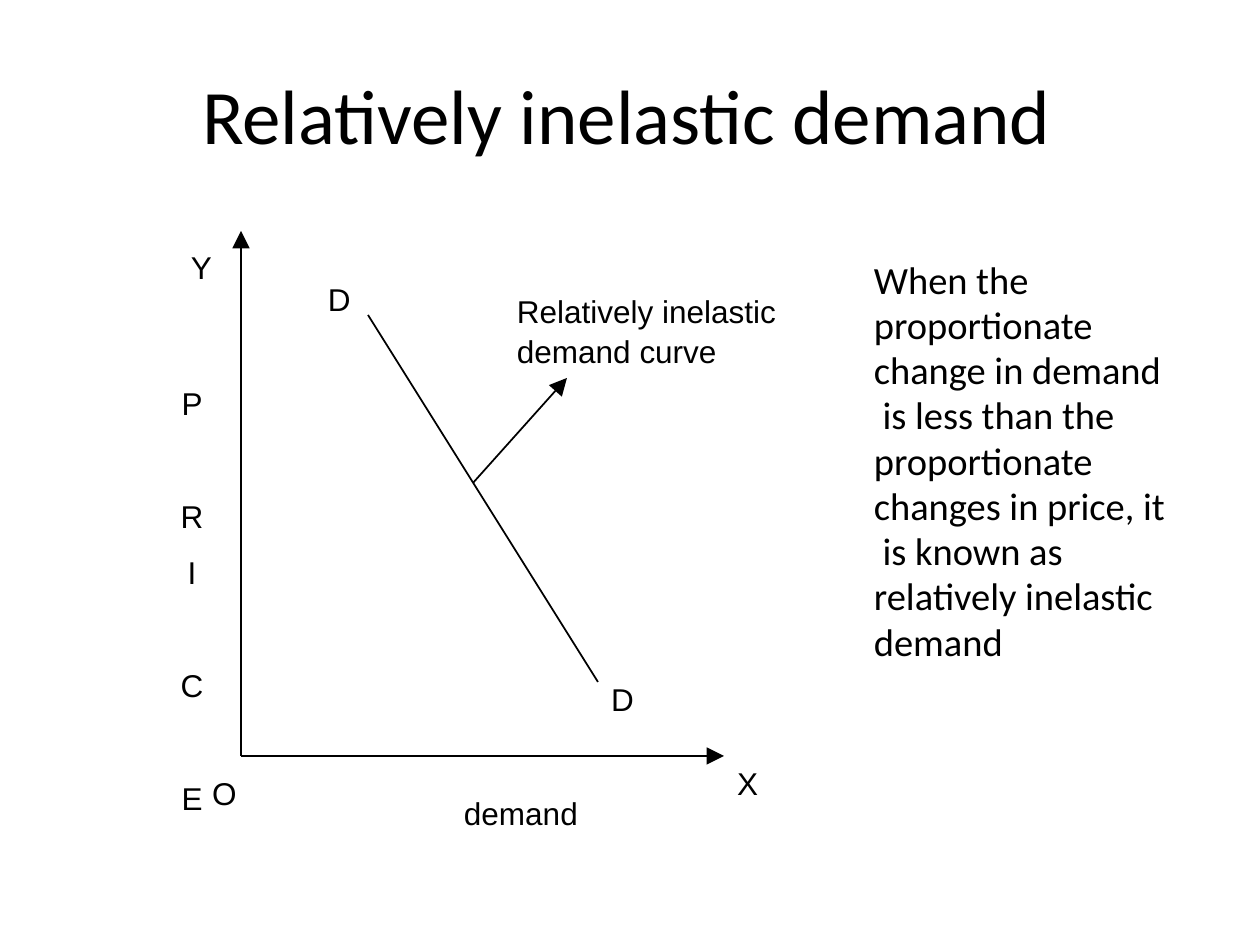
from lxml.etree import SubElement
from pptx import Presentation
from pptx.dml.color import RGBColor
from pptx.enum.shapes import MSO_CONNECTOR as Link
from pptx.enum.text import MSO_ANCHOR as Anchor, MSO_AUTO_SIZE as Fit, PP_ALIGN as Align
from pptx.oxml.ns import qn
from pptx.util import Inches, Pt

PX = Inches(1) // 126
INK = "000000"


def color(code):
    return RGBColor.from_string(code)


def style(shape, text, box, size=18, font="Arial", align=Align.LEFT, lead=None, gaps=()):
    """Place a text shape and fill it; gaps are the points before each paragraph."""
    shape.left, shape.top, shape.width, shape.height = (n * PX for n in box)
    frame = shape.text_frame
    frame.margin_left = frame.margin_top = frame.margin_right = frame.margin_bottom = 0
    frame.word_wrap, frame.auto_size = True, Fit.NONE
    frame.vertical_anchor = Anchor.TOP
    frame.text = text
    for par in frame.paragraphs:
        par.alignment = align
        par.line_spacing = lead
        for run in par.runs:
            run.font.size, run.font.name = Pt(size), font
            run.font.color.rgb = color(INK)
    for par, gap in zip(frame.paragraphs, gaps):
        par.space_before = Pt(gap)


def label(slide, text, box, **form):
    style(slide.shapes.add_textbox(0, 0, 0, 0), text, box, **form)


def line(slide, start, end, arrow=True):
    link = slide.shapes.add_connector(Link.STRAIGHT, *(n * PX for n in start + end))
    link.line.color.rgb = color(INK)
    link.line.width = Pt(1)
    if arrow:
        SubElement(link.line._get_or_add_ln(), qn("a:tailEnd"), type="triangle", w="lg", len="lg")
    SubElement(link._element.spPr, qn("a:effectLst"))


def graph(slide):
    origin = (241, 756)
    line(slide, origin, (241, 231))
    line(slide, origin, (724, 756))
    line(slide, (368, 315), (598, 682), arrow=False)
    line(slide, (473, 483), (567, 378))

    for text, left, top in (
        ("Y", 191, 248), ("X", 737, 764), ("O", 212, 774),
        ("D", 328, 280), ("D", 611, 680), ("demand", 464, 794),
    ):
        label(slide, text, (left, top, 120 if len(text) > 1 else 30, 42))
    label(slide, "Relatively inelastic\ndemand curve", (517, 290, 275, 79), lead=1.05)

    step = 32.3
    label(slide, "\n".join("PRICE"), (177, 365, 30, 520), align=Align.CENTER,
          lead=Pt(step), gaps=(0, step, 0, step, step))


def main():
    deck = Presentation()
    deck.slide_width, deck.slide_height = Inches(10), Inches(7.5)
    slide = deck.slides.add_slide(deck.slide_layouts[5])
    style(slide.shapes.title, "Relatively inelastic demand", (183, 67, 888, 96),
          size=44, font="Calibri", align=Align.CENTER)
    graph(slide)
    lines = (
        "When the", "proportionate", "change in demand", " is less than the",
        "proportionate", "changes in price, it", " is known as",
        "relatively inelastic", "demand",
    )
    label(slide, "\v".join(lines), (874, 258, 310, 420), size=22, font="Calibri", lead=0.98)
    deck.save("out.pptx")


if __name__ == "__main__":
    main()
